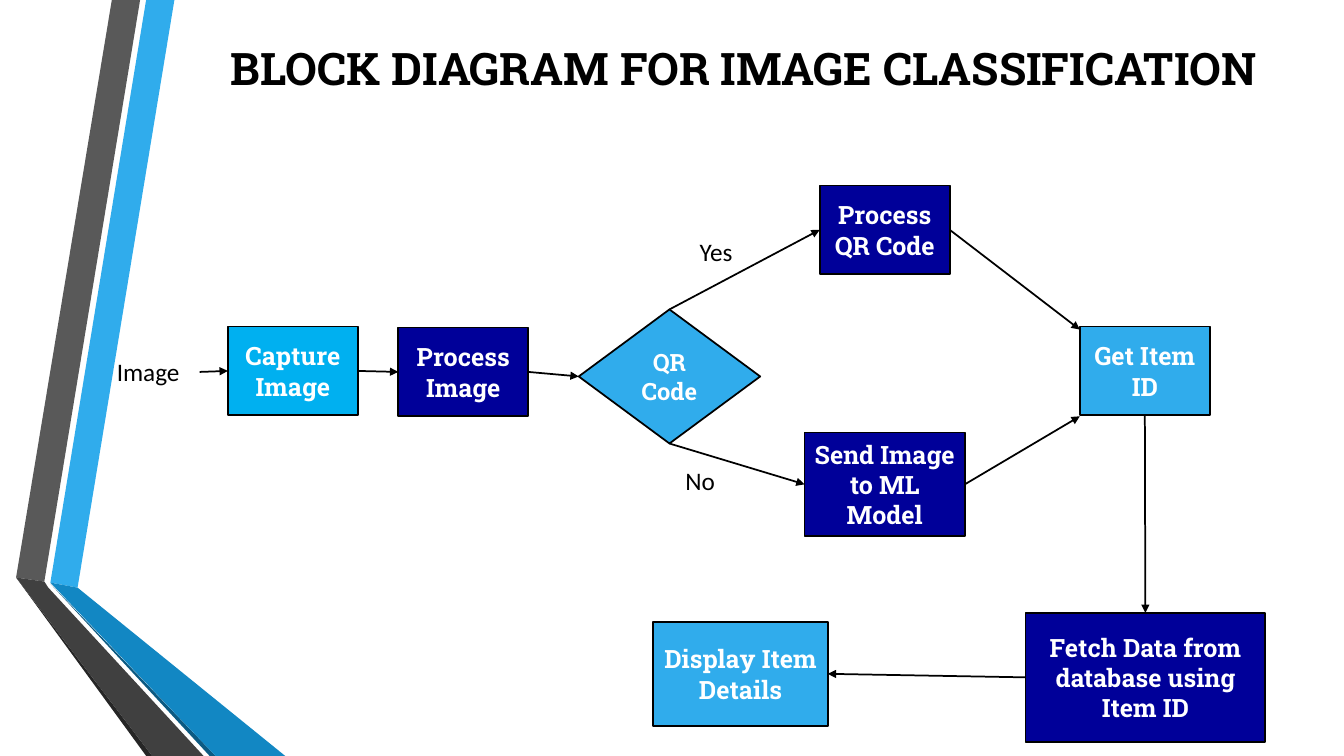
import lxml.etree
import pptx
import pptx.dml.color
import pptx.enum.shapes
import pptx.enum.text
import pptx.oxml.ns
import pptx.util

Inches = pptx.util.Inches
Pt = pptx.util.Pt
RGBColor = pptx.dml.color.RGBColor
Shape = pptx.enum.shapes.MSO_SHAPE
Align = pptx.enum.text.PP_ALIGN
Anchor = pptx.enum.text.MSO_ANCHOR
qn = pptx.oxml.ns.qn

BLACK = RGBColor(0x00, 0x00, 0x00)
WHITE = RGBColor(0xFF, 0xFF, 0xFF)
NAVY = RGBColor(0x00, 0x00, 0x99)
SKY = RGBColor(0x30, 0xAC, 0xEC)
CYAN = RGBColor(0x00, 0xB0, 0xF0)
OCEAN = RGBColor(0x12, 0x87, 0xC3)
DEEP_OCEAN = RGBColor(0x0C, 0x5A, 0x82)
GRAY = RGBColor(0x59, 0x59, 0x59)
DARK_GRAY = RGBColor(0x40, 0x40, 0x40)
CHARCOAL = RGBColor(0x26, 0x26, 0x26)

TOP, LEFT, BOTTOM, RIGHT = range(4)

RIBBONS = [
    (SKY, [(0.5, 5.78), (0.77, 5.83), (1.73, 0), (1.45, 0)]),
    (GRAY, [(1.39, 0), (1.11, 0), (0.16, 5.73), (0.44, 5.77)]),
    (CHARCOAL, [(0.16, 5.73), (1.45, 7.5), (1.51, 7.5)]),
    (DEEP_OCEAN, [(0.5, 5.79), (2.08, 7.5), (2.14, 7.5)]),
    (OCEAN, [(0.5, 5.78), (2.14, 7.5), (2.83, 7.5), (0.77, 5.83)]),
    (DARK_GRAY, [(2.02, 7.5), (0.48, 5.83), (0.44, 5.77), (0.16, 5.73), (1.51, 7.5)]),
]


class Diagram:
    heading_font = "Roboto Slab"
    label_font = "Calibri"
    line_width = Pt(1.25)

    def __init__(self, page):
        self.page = page

    def set_text(self, shape, text, name, size, color, bold, align):
        frame = shape.text_frame
        frame.word_wrap = True
        frame.text = text
        para = frame.paragraphs[0]
        para.alignment = align
        para.font.name = name
        para.font.size = Pt(size)
        para.font.bold = bold
        para.font.color.rgb = color
        return frame

    def title(self, text, left, top, width, height):
        title = self.page.shapes.title
        title.left, title.top = Inches(left), Inches(top)
        title.width, title.height = Inches(width), Inches(height)
        frame = self.set_text(title, text, self.heading_font, 32, BLACK, True, Align.CENTER)
        frame.vertical_anchor = Anchor.MIDDLE

    def ribbon(self, color, points):
        corners = [(Inches(x), Inches(y)) for x, y in points]
        builder = self.page.shapes.build_freeform(*corners[0])
        builder.add_line_segments(corners[1:], close=True)
        ribbon = builder.convert_to_shape()
        ribbon.shadow.inherit = False
        ribbon.fill.solid()
        ribbon.fill.fore_color.rgb = color
        ribbon.line.fill.background()

    def block(self, text, color, left, top, width=1.29, height=0.88,
              kind=Shape.RECTANGLE, size=18):
        block = self.page.shapes.add_shape(
            kind, Inches(left), Inches(top), Inches(width), Inches(height))
        block.shadow.inherit = False
        block.fill.solid()
        block.fill.fore_color.rgb = color
        block.line.color.rgb = BLACK
        block.line.width = self.line_width
        frame = self.set_text(block, text, self.heading_font, size, WHITE, True, Align.CENTER)
        frame.vertical_anchor = Anchor.MIDDLE
        frame.margin_left = frame.margin_right = Inches(0.08)
        return block

    def label(self, text, left, top):
        box = self.page.shapes.add_textbox(
            Inches(left), Inches(top), Inches(0.91), Inches(0.4))
        self.set_text(box, text, self.label_font, 18, BLACK, False, Align.LEFT)

    def arrow(self, start, end):
        ends = [Inches(value) if isinstance(value, float) else 0
                for point in (start, end) for value in point]
        arrow = self.page.shapes.add_connector(
            pptx.enum.shapes.MSO_CONNECTOR.STRAIGHT, *ends)
        for point, connect in ((start, arrow.begin_connect), (end, arrow.end_connect)):
            if not isinstance(point[0], float):
                connect(*point)
        arrow.line.color.rgb = BLACK
        arrow.line.width = self.line_width
        properties = arrow._element.spPr
        outline = properties.find(qn("a:ln"))
        lxml.etree.SubElement(outline, qn("a:tailEnd"), type="triangle")
        lxml.etree.SubElement(properties, qn("a:effectLst"))


def main():
    deck = pptx.Presentation()
    deck.slide_width, deck.slide_height = Inches(13.33), Inches(7.5)
    diagram = Diagram(deck.slides.add_slide(deck.slide_layouts[5]))

    for color, points in RIBBONS:
        diagram.ribbon(color, points)
    diagram.title("BLOCK DIAGRAM FOR IMAGE CLASSIFICATION", 1.67, 0.35, 11.42, 0.64)

    capture = diagram.block("Capture Image", CYAN, 2.26, 3.24)
    process = diagram.block("Process Image", NAVY, 3.95, 3.25)
    decision = diagram.block("QR Code", SKY, 5.74, 3.07, 1.8, 1.33, Shape.DIAMOND, 17)
    process_code = diagram.block("Process QR Code", NAVY, 8.13, 1.84)
    send = diagram.block("Send Image to ML Model", NAVY, 7.98, 4.29, 1.59, 1.03)
    item = diagram.block("Get Item ID", SKY, 10.71, 3.24)
    fetch = diagram.block("Fetch Data from database using Item ID", NAVY,
                          10.17, 6.08, 2.38, 1.28)
    display = diagram.block("Display Item Details", SKY, 6.48, 6.17, 1.73, 1.03)

    for start, end in [
        ((1.98, 3.69), (capture, LEFT)),
        ((capture, RIGHT), (process, LEFT)),
        ((process, RIGHT), (decision, LEFT)),
        ((decision, TOP), (process_code, LEFT)),
        ((decision, BOTTOM), (send, LEFT)),
        ((send, RIGHT), (10.71, 4.13)),
        ((process_code, RIGHT), (10.71, 3.27)),
        ((item, BOTTOM), (fetch, TOP)),
        ((fetch, LEFT), (display, RIGHT)),
    ]:
        diagram.arrow(start, end)

    for text, left, top in [("Image", 1.06, 3.49), ("Yes", 6.84, 2.3), ("No", 6.7, 4.57)]:
        diagram.label(text, left, top)

    deck.save("out.pptx")


if __name__ == "__main__":
    main()
